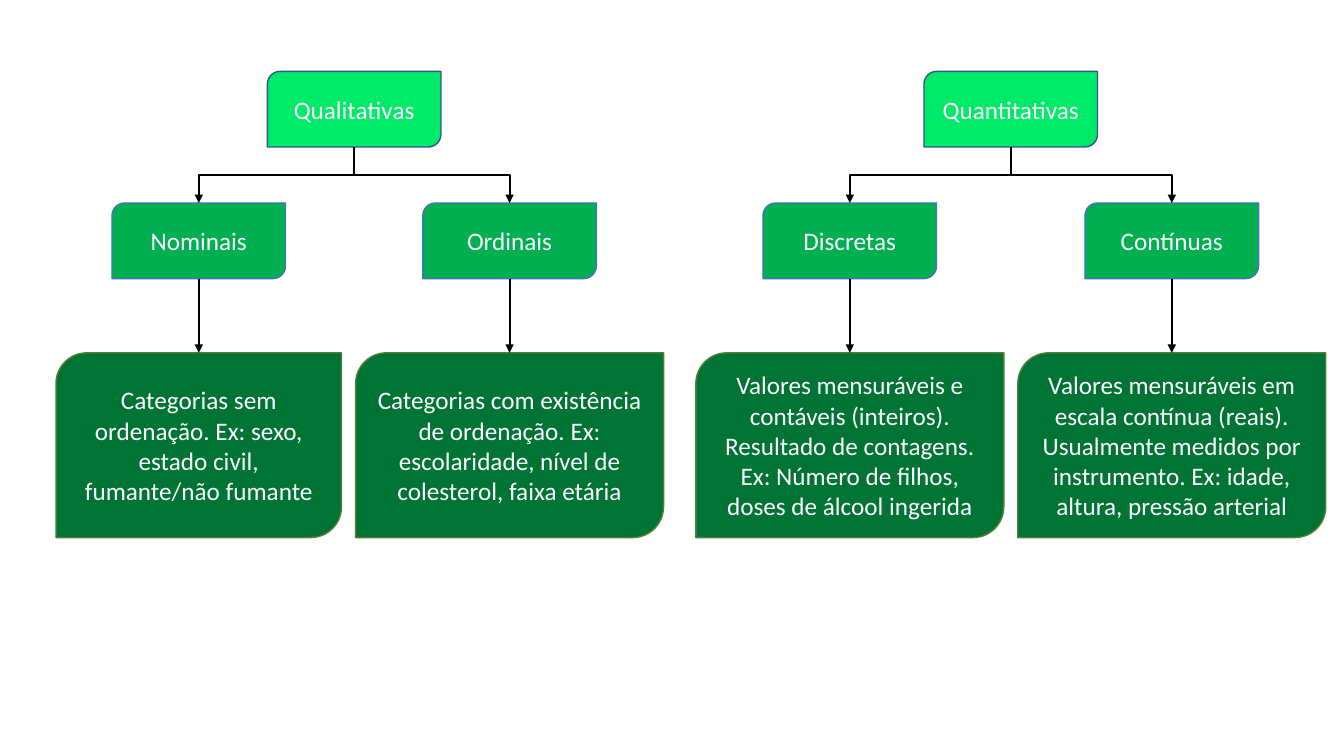
import pptx
import pptx.util
import pptx.dml.color
import pptx.enum.shapes
import pptx.enum.text
import pptx.oxml.ns
import lxml.etree

MSO_SHAPE = pptx.enum.shapes.MSO_SHAPE
MSO_CONNECTOR = pptx.enum.shapes.MSO_CONNECTOR

prs = pptx.Presentation()
prs.slide_width = pptx.util.Inches(13.333)
prs.slide_height = pptx.util.Inches(7.5)

# Grid of 96 columns by 54 rows
COL, ROW = prs.slide_width / 96, prs.slide_height / 54
NODE_W, NODE_H = 12.4, 5.4
LEAF_GAP, CHILD_ROW, LEAF_ROW = 1, 9.4, 20.1

# Fill and outline of each level
STYLES = {
    "root": ("00EA6A", "325491"),
    "child": ("00B050", "4472C4"),
    "leaf": ("007434", "538035"),
}
FONT = {"name": "Calibri", "size": pptx.util.Pt(18)}


def rgb(code):
    return pptx.dml.color.RGBColor.from_string(code)


def add_node(slide, level, text, x, y, w, h):
    """Rounded-diagonal box, placed in grid units."""
    sp = slide.shapes.add_shape(MSO_SHAPE.ROUND_2_DIAG_RECTANGLE,
                                round(x * COL), round(y * ROW),
                                round(w * COL), round(h * ROW))
    fill, line = STYLES[level]
    sp.shadow.inherit = False
    sp.fill.solid()
    sp.fill.fore_color.rgb = rgb(fill)
    sp.line.color.rgb = rgb(line)
    sp.line.width = pptx.util.Pt(1)
    tf = sp.text_frame
    tf.word_wrap = True
    tf.vertical_anchor = pptx.enum.text.MSO_ANCHOR.MIDDLE
    p = tf.paragraphs[0]
    p.alignment = pptx.enum.text.PP_ALIGN.CENTER
    r = p.add_run()
    r.text = text
    for key, value in FONT.items():
        setattr(r.font, key, value)
    r.font.color.rgb = rgb("FFFFFF")


def add_arrow(slide, x1, y1, x2, y2):
    """Downward arrow in grid units; bends halfway when the ends are not aligned."""
    x1, x2, y1, y2 = x1 * COL, x2 * COL, y1 * ROW, y2 * ROW
    kind, rotation = MSO_CONNECTOR.STRAIGHT, 0
    if x1 != x2:
        # An elbow starts sideways, so lay it flat about its centre and turn it
        kind, rotation = MSO_CONNECTOR.ELBOW, 90 if x2 < x1 else 270
        cx, cy = (x1 + x2) / 2, (y1 + y2) / 2
        half_w, half_h = (y2 - y1) / 2, abs(x2 - x1) / 2
        side = 1 if x2 < x1 else -1
        x1, x2 = cx - side * half_w, cx + side * half_w
        y1, y2 = cy - half_h, cy + half_h
    c = slide.shapes.add_connector(kind, *map(round, (x1, y1, x2, y2)))
    c.line.color.rgb = rgb("000000")
    c.line.width = pptx.util.Pt(1.5)
    qn = pptx.oxml.ns.qn
    sp_pr = c._element.spPr
    if rotation:
        sp_pr.find(qn("a:xfrm")).set("rot", str(rotation * 60000))
    lxml.etree.SubElement(sp_pr.find(qn("a:ln")), qn("a:tailEnd"), type="triangle")
    lxml.etree.SubElement(sp_pr, qn("a:effectLst"))


def draw_tree(slide, left, top, root, branches):
    """One variable type with its branches, from the given corner of the grid."""
    child_y, leaf_y = top + CHILD_ROW, top + LEAF_ROW
    centres, x = [], left
    # Subtypes centred above their descriptions
    for name, text, w, h in branches:
        cx = x + w / 2
        add_node(slide, "child", name, cx - NODE_W / 2, child_y, NODE_W, NODE_H)
        add_node(slide, "leaf", text, x, leaf_y, w, h)
        add_arrow(slide, cx, child_y + NODE_H, cx, leaf_y)
        centres.append(cx)
        x += w + LEAF_GAP
    # Root centred above the subtypes
    mid = sum(centres) / len(centres)
    add_node(slide, "root", root, mid - NODE_W / 2, top, NODE_W, NODE_H)
    for cx in centres:
        add_arrow(slide, mid, top + NODE_H, cx, child_y)


slide = prs.slides.add_slide(prs.slide_layouts[6])

# Qualitative variables
draw_tree(slide, 4, 5.1, "Qualitativas", [
    ("Nominais", "Categorias sem ordenação. Ex: sexo, estado civil, "
     "fumante/não fumante", 20.4, 13.2),
    ("Ordinais", "Categorias com existência de ordenação. Ex: escolaridade, "
     "nível de colesterol, faixa etária", 22, 13.2),
])

# Quantitative variables
draw_tree(slide, 49.7, 5.1, "Quantitativas", [
    ("Discretas", "Valores mensuráveis e contáveis (inteiros). Resultado de "
     "contagens. Ex: Número de filhos, doses de álcool ingerida", 22, 13.2),
    ("Contínuas", "Valores mensuráveis em escala contínua (reais). Usualmente "
     "medidos por instrumento. Ex: idade, altura, pressão arterial", 22, 13.2),
])

prs.save("out.pptx")
